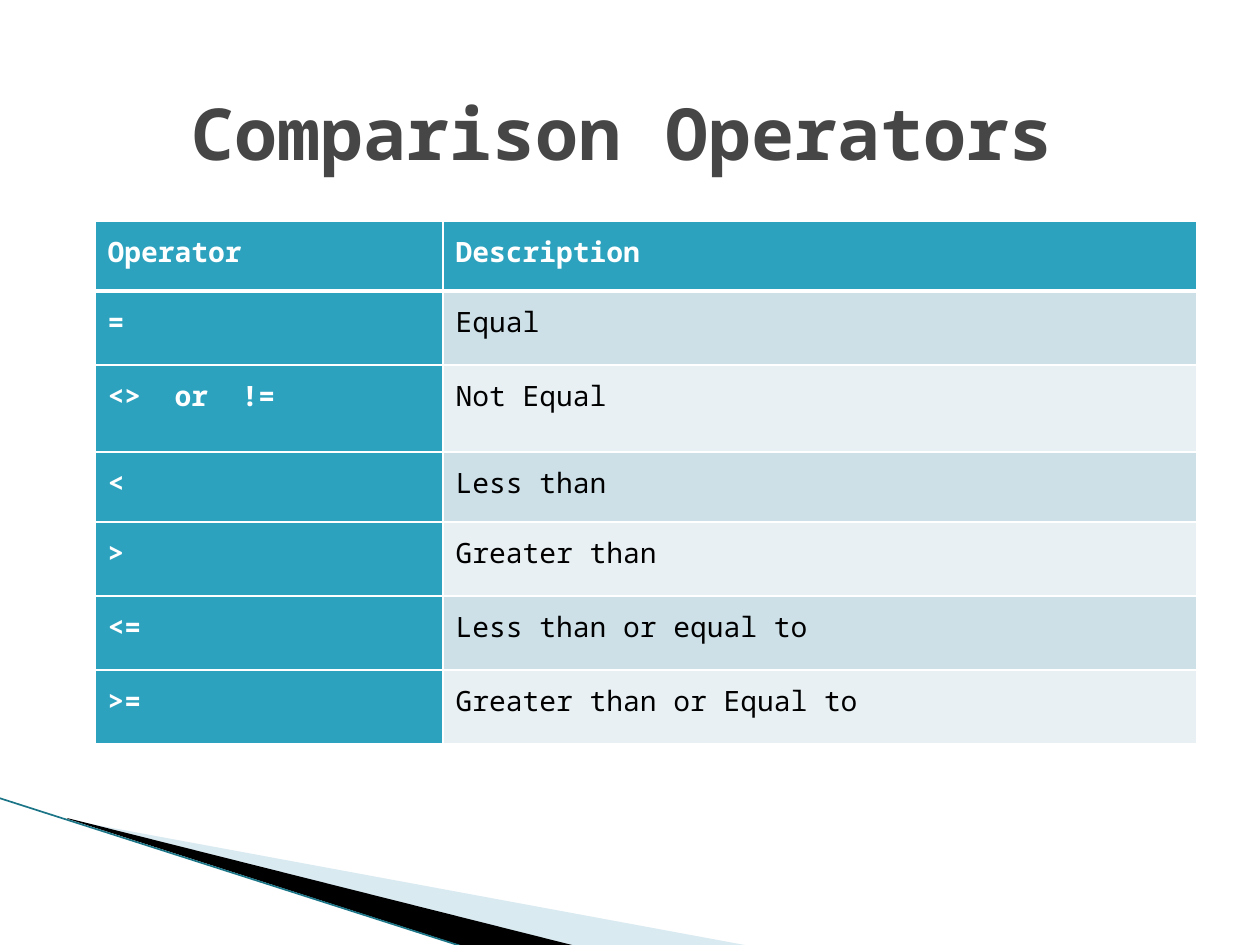
"""Build a slide with a table of comparison operators."""
import lxml.etree
import pptx
import pptx.dml.color
import pptx.enum.text
import pptx.oxml.ns
import pptx.util

SCALE = 914400 / 126
FONT = "Noto Sans Mono"
COLORS = {
    "title": "464646",
    "accent": "2DA2BF",
    "white": "FFFFFF",
    "black": "000000",
    "band_dark": "CDE0E8",
    "band_light": "E8F0F4",
    "wedge": "A0CBDC",
    "edge": "1B7587",
}
COLUMN_WIDTHS = [348, 754]
ROW_HEIGHTS = [70, 74, 87, 70, 74, 74, 74]
OPERATORS = [
    ("Operator", "Description"),
    ("=", "Equal"),
    ("<>  or  !=", "Not Equal"),
    ("<", "Less than"),
    (">", "Greater than"),
    ("<=", "Less than or equal to"),
    (">=", "Greater than or Equal to"),
]


def px(length):
    """Turn pixels into EMU."""
    return pptx.util.Emu(round(length * SCALE))


def color(name):
    """Look up a named colour."""
    return pptx.dml.color.RGBColor.from_string(COLORS[name])


def apply(target, values):
    """Set each attribute in a dict of format values."""
    for name, value in values.items():
        setattr(target, name, value)


def add_child(parent, tag, **attributes):
    """Append a DrawingML element."""
    return lxml.etree.SubElement(parent, pptx.oxml.ns.qn(tag), attributes)


def write(para, text, size, color_name, bold):
    """Put one formatted span into a paragraph."""
    span = para.add_run()
    span.text = text
    apply(span.font, {"name": FONT, "size": pptx.util.Pt(size), "bold": bold})
    span.font.color.rgb = color(color_name)


def add_wedge(page, points, color_name, opacity=100):
    """Draw a filled outline without a line."""
    builder = page.shapes.build_freeform(*points[0], scale=SCALE)
    builder.add_line_segments(points[1:], close=True)
    wedge = builder.convert_to_shape()
    wedge.shadow.inherit = False
    wedge.line.fill.background()
    wedge.fill.solid()
    wedge.fill.fore_color.rgb = color(color_name)
    if opacity < 100:
        tint = wedge.fill._xPr.find(".//" + pptx.oxml.ns.qn("a:srgbClr"))
        add_child(tint, "a:alpha", val=str(opacity * 1000))


def add_edge(page, start, end):
    """Draw the thin line along the wedges."""
    edge = page.shapes.add_connector(1, *map(px, start + end))
    edge.line.width = pptx.util.Pt(0.95)
    edge.line.color.rgb = color("edge")
    add_child(edge._element.spPr, "a:effectLst")


def add_border(cell, side, width):
    """Give one side of a cell a white border."""
    border = add_child(cell._tc.get_or_add_tcPr(), "a:ln" + side,
                       w=str(pptx.util.Pt(width)))
    add_child(add_child(border, "a:solidFill"), "a:srgbClr", val=COLORS["white"])


def fill_cell(cell, text, row, column):
    """Format a cell by its place in the table."""
    heading = row == 0 or column == 0
    thickness = {"L": 1, "R": 1, "T": 3 if row == 1 else 1, "B": 3 if row == 0 else 1}
    for side, width in thickness.items():
        add_border(cell, side, width)
    band = "band_dark" if row % 2 else "band_light"
    cell.fill.solid()
    cell.fill.fore_color.rgb = color("accent" if heading else band)
    para = cell.text_frame.paragraphs[0]
    apply(para, {"line_spacing": 1.15, "space_after": pptx.util.Pt(10)})
    write(para, text, 16, "white" if heading else "black", heading)


def add_operator_table(page):
    """Add the table of operators and descriptions."""
    box = (95, 221, sum(COLUMN_WIDTHS), sum(ROW_HEIGHTS))
    table = page.shapes.add_table(
        len(ROW_HEIGHTS), len(COLUMN_WIDTHS), *map(px, box)).table
    for column, width in zip(table.columns, COLUMN_WIDTHS):
        column.width = px(width)
    for row, height in zip(table.rows, ROW_HEIGHTS):
        row.height = px(height)
    for row, texts in enumerate(OPERATORS):
        for column, text in enumerate(texts):
            fill_cell(table.cell(row, column), text, row, column)


def set_title(page, text):
    """Place and format the title placeholder."""
    title = page.shapes.title
    apply(title, {"left": px(179), "top": px(53), "width": px(968), "height": px(157)})
    apply(title.text_frame, {
        "word_wrap": True,
        "auto_size": pptx.enum.text.MSO_AUTO_SIZE.NONE,
        "vertical_anchor": pptx.enum.text.MSO_ANCHOR.MIDDLE,
    })
    para = title.text_frame.paragraphs[0]
    para.alignment = pptx.enum.text.PP_ALIGN.LEFT
    write(para, text, 41, "title", True)


def main():
    """Build and save the deck."""
    deck = pptx.Presentation()
    apply(deck, {"slide_width": px(1260), "slide_height": px(945)})
    page = deck.slides.add_slide(deck.slide_layouts[5])
    set_title(page, "Comparison Operators")
    add_wedge(page, [(69, 820), (750, 946), (575, 946), (69, 819)], "wedge", 40)
    add_wedge(page, [(67, 818), (576, 946), (469, 948), (68, 819)], "black")
    add_edge(page, (-1, 798), (467, 948))
    add_operator_table(page)
    deck.save("out.pptx")


if __name__ == "__main__":
    main()
